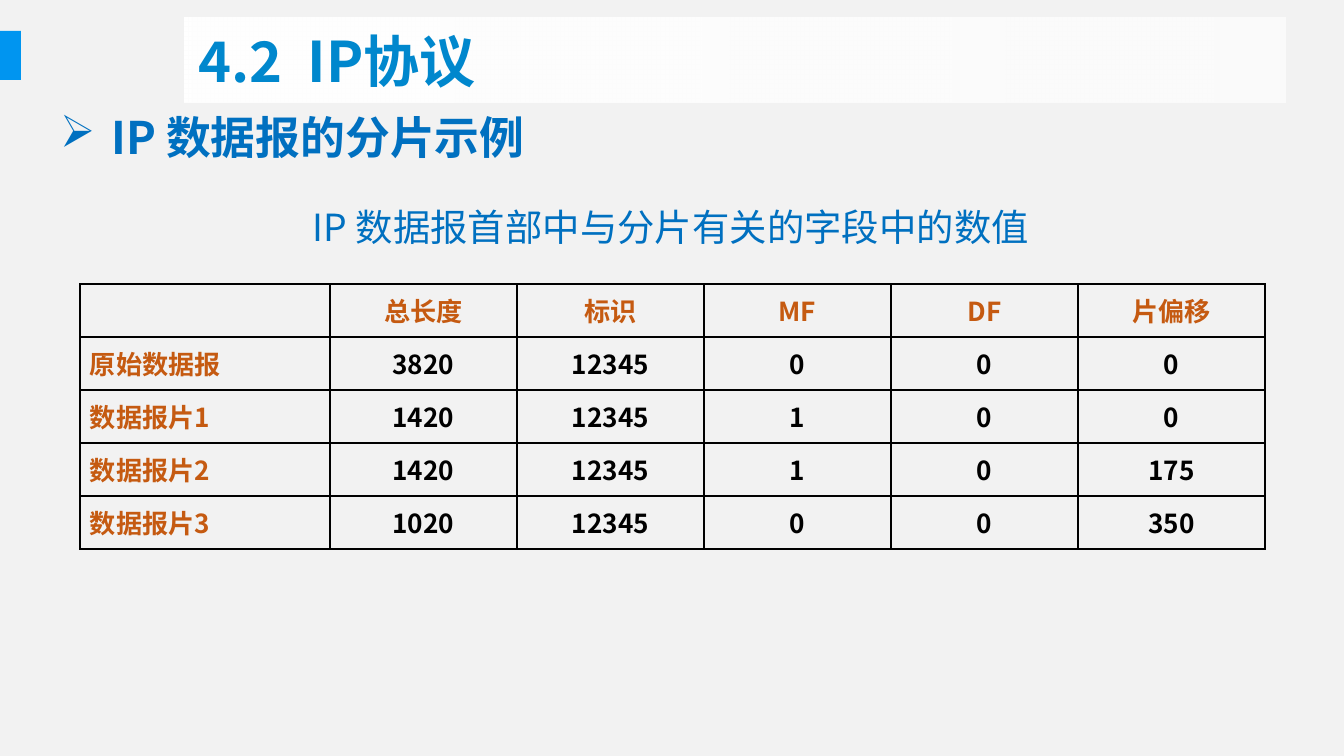
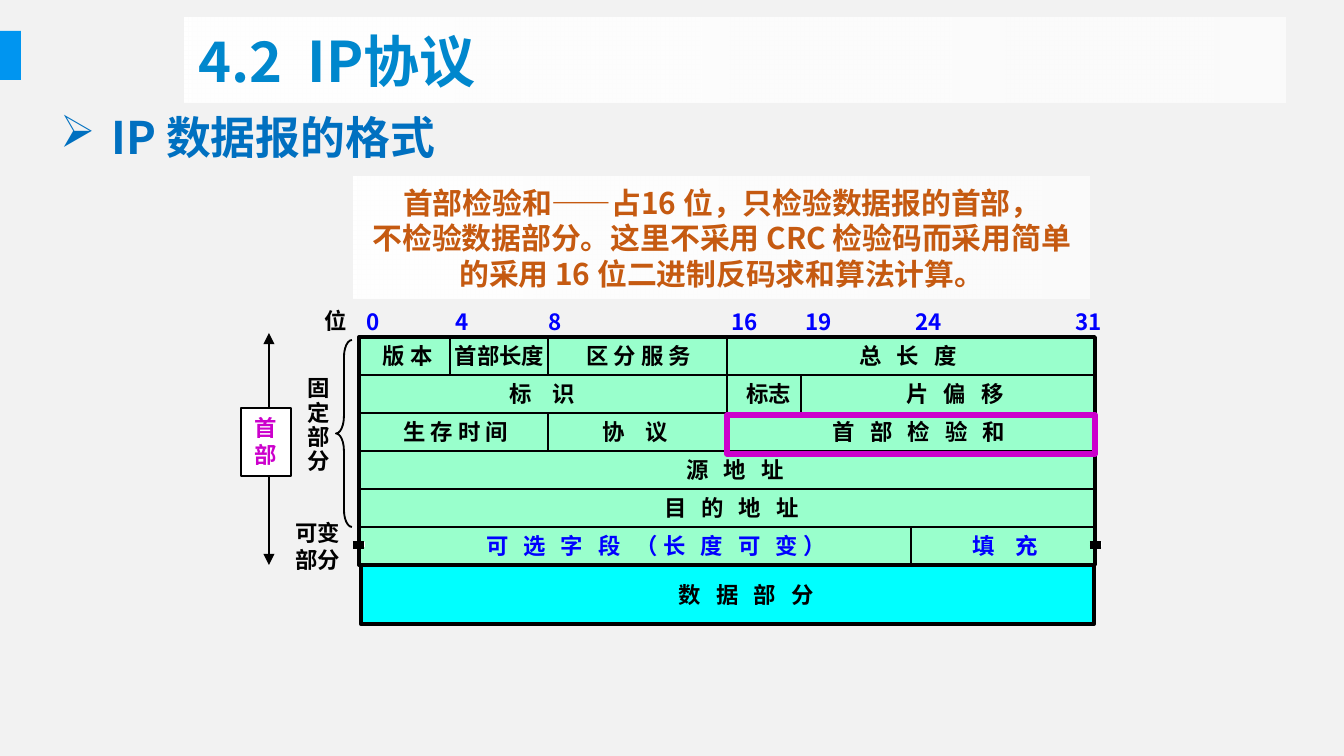
from lxml import etree
from pptx import Presentation
from pptx.dml.color import RGBColor
from pptx.enum.shapes import MSO_CONNECTOR, MSO_SHAPE
from pptx.enum.text import MSO_ANCHOR, PP_ALIGN
from pptx.oxml.ns import qn
from pptx.util import Pt

RECTANGLE, LEFT_BRACE = MSO_SHAPE.RECTANGLE, MSO_SHAPE.LEFT_BRACE
STRAIGHT = MSO_CONNECTOR.STRAIGHT
MIDDLE, TOP = MSO_ANCHOR.MIDDLE, MSO_ANCHOR.TOP
LEFT, CENTER, JUSTIFY = PP_ALIGN.LEFT, PP_ALIGN.CENTER, PP_ALIGN.JUSTIFY
WIDTH, HEIGHT = 1344, 756
FONT = "Noto Sans CJK SC"
COLORS = {
    "background": "F2F2F2",
    "accent": "0095F0",
    "title": "0087CD",
    "heading": "0070C0",
    "emphasis": "C55A11",
    "black": "000000",
    "white": "FFFFFF",
    "header": "99FFCC",
    "data": "00FFFF",
    "bits": "0000FF",
    "highlight": "CC00CC",
}
FRAGMENTS = [
    ["", "总长度", "标识", "MF", "DF", "片偏移"],
    ["原始数据报", "3820", "12345", "0", "0", "0"],
    ["数据报片1", "1420", "12345", "1", "0", "0"],
    ["数据报片2", "1420", "12345", "1", "0", "175"],
    ["数据报片3", "1020", "12345", "0", "0", "350"],
]
ROW, GRID_WIDTH, GRID_ROWS = 38, 736, 6
BITS = [("0", -6, 40), ("4", 83, 40), ("8", 176, 40), ("16", 359, 55),
        ("19", 433, 55), ("24", 543, 55), ("31", 703, 55)]
DIVIDERS = [(91, 0, 1), (189, 0, 1), (189, 2, 3), (368, 0, 3), (442, 1, 2), (552, 5, 6)]
FIELDS = [
    (0, 9, 79, "版 本", 0, "black"),
    (0, 82, 117, "首部长度", 0, "black"),
    (0, 211, 138, "区 分 服 务", 0, "black"),
    (0, 481, 136, "总 长 度", 2.7, "black"),
    (1, 134, 99, "标 识", 4.1, "black"),
    (1, 373, 73, "标志", 0, "black"),
    (1, 528, 136, "片 偏 移", 2.7, "black"),
    (2, 28, 138, "生 存 时 间", 0, "black"),
    (2, 227, 99, "协 议", 4.1, "black"),
    (2, 449, 222, "首 部 检 验 和", 2.7, "black"),
    (3, 308, 136, "源 地 址", 2.7, "black"),
    (4, 283, 179, "目 的 地 址", 2.7, "black"),
    (5, 102, 390, "可 选 字 段 （长 度 可 变）", 2.7, "bits"),
    (5, 597, 99, "填 充", 4.1, "bits"),
]


def px(length):
    """Turn pixels into EMU."""
    return round(length * 9144000 / WIDTH)


def color(name):
    """Look up a palette colour."""
    return RGBColor.from_string(COLORS[name])


def write(text_frame, text, size, ink, bold=True, align=LEFT, spacing=0):
    """Set the text, one paragraph per line, and format its runs."""
    text_frame.text = text
    for paragraph in text_frame.paragraphs:
        paragraph.alignment = align
        for run in paragraph.runs:
            run.font.name = FONT
            run.font.size = Pt(size)
            run.font.bold = bold
            run.font.color.rgb = color(ink)
            properties = run._r.get_or_add_rPr()
            etree.SubElement(properties, qn("a:ea"), typeface=FONT)
            if spacing:
                properties.set("spc", str(round(spacing * 100)))


def add_text(slide, box, text, size, ink, wrap=False, **style):
    """Add a text box and return its frame."""
    text_frame = slide.shapes.add_textbox(*map(px, box)).text_frame
    text_frame.word_wrap = wrap
    write(text_frame, text, size, ink, **style)
    return text_frame


def add_box(slide, box, fill=None, line=None, weight=1, kind=RECTANGLE):
    """Add a preset shape with optional fill and outline."""
    shape = slide.shapes.add_shape(kind, *map(px, box))
    shape.shadow.inherit = False
    if fill:
        shape.fill.solid()
        shape.fill.fore_color.rgb = color(fill)
    else:
        shape.fill.background()
    if line:
        shape.line.color.rgb = color(line)
        shape.line.width = Pt(weight)
    else:
        shape.line.fill.background()
    return shape


def add_fading_box(slide, box):
    """Add a white panel that fades towards the right."""
    shape = add_box(slide, box)
    shape.fill.gradient()
    shape.fill.gradient_angle = 0
    for stop in shape.fill.gradient_stops:
        stop.color.rgb = color("white")
    last_color = list(shape._element.spPr.iter(qn("a:srgbClr")))[-1]
    etree.SubElement(last_color, qn("a:alpha"), val="67000")
    shape.text_frame.vertical_anchor = MIDDLE
    shape.text_frame.word_wrap = True
    return shape


def add_line(slide, start, end, weight=1, arrows=False):
    """Add a straight black line, with arrowheads at both ends on request."""
    connector = slide.shapes.add_connector(STRAIGHT, *map(px, start + end))
    connector.line.color.rgb = color("black")
    connector.line.width = Pt(weight)
    if arrows:
        for tag in ("a:headEnd", "a:tailEnd"):
            etree.SubElement(connector.line._get_or_add_ln(), qn(tag), type="triangle")
    etree.SubElement(connector._element.spPr, qn("a:effectLst"))
    return connector


def add_slide(presentation, heading):
    """Add a slide with the side mark, title panel and bulleted heading."""
    slide = presentation.slides.add_slide(presentation.slide_layouts[6])
    add_box(slide, (0, 31, 21, 49), "accent")
    title = add_fading_box(slide, (185, 18, 1101, 85))
    write(title.text_frame, "4.2  IP协议", 30, "title")
    text_frame = add_text(slide, (47, 103, 1238, 67), heading, 24, "heading", wrap=True)
    properties = text_frame.paragraphs[0]._p.get_or_add_pPr()
    properties.set("marL", str(px(51)))
    properties.set("indent", str(px(-51)))
    etree.SubElement(properties, qn("a:buChar"), char="➢")
    return slide


def style_cell(cell, text, ink, align):
    """Fill one table cell and draw its borders."""
    cell.vertical_anchor = MIDDLE
    cell.margin_left = cell.margin_right = px(10)
    cell.margin_top = cell.margin_bottom = 0
    write(cell.text_frame, text, 14, ink, align=align)
    properties = cell._tc.get_or_add_tcPr()
    for side in ("a:lnL", "a:lnR", "a:lnT", "a:lnB"):
        border = etree.SubElement(properties, qn(side), w=str(Pt(1)))
        fill = etree.SubElement(border, qn("a:solidFill"))
        etree.SubElement(fill, qn("a:srgbClr"), val=COLORS["black"])
    cell.fill.background()


def add_fragment_table(slide, box):
    """Add the table of fragmentation fields."""
    left, top, width, height = box
    frame = slide.shapes.add_table(len(FRAGMENTS), len(FRAGMENTS[0]), *map(px, box))
    table = frame.table
    table.first_row = table.horz_banding = False
    first = 250
    for index, column in enumerate(table.columns):
        column.width = px(first if index == 0 else (width - first) / 5)
    for row_index, (row, values) in enumerate(zip(table.rows, FRAGMENTS)):
        row.height = px(height / len(FRAGMENTS))
        for column_index, value in enumerate(values):
            is_label = row_index == 0 or column_index == 0
            style_cell(row.cells[column_index], value,
                       "emphasis" if is_label else "black",
                       JUSTIFY if column_index == 0 else CENTER)


def add_header_grid(slide, left, top):
    """Draw the header rows, dividers, bit numbers and field names."""
    height = ROW * GRID_ROWS
    header = add_box(slide, (left, top, GRID_WIDTH, height), "header", "black", 2)
    for row in range(1, GRID_ROWS):
        y = top + row * ROW
        line = add_line(slide, (left, y), (left + GRID_WIDTH, y))
        if row * 2 == GRID_ROWS:
            line.begin_connect(header, 1)
            line.end_connect(header, 3)
    for x, first, last in DIVIDERS:
        line = add_line(slide, (left + x, top + first * ROW), (left + x, top + last * ROW))
        if x * 2 == GRID_WIDTH and first == 0:
            line.begin_connect(header, 0)
    for text, x, width in BITS:
        add_text(slide, (left + x, top - 35, width, 40), text, 12, "bits")
    for row, x, width, text, spacing, ink in FIELDS:
        add_text(slide, (left + x, top + row * ROW - 1, width, 40), text, 12, ink,
                 align=CENTER, spacing=spacing)


def add_data_part(slide, left, top):
    """Draw the data block below the header."""
    add_box(slide, (left, top, 733, 59), "data", "black", 2.25)
    add_text(slide, (left + 249, top + 10, 273, 40), "数 据 部 分", 12, "black",
             wrap=True, align=CENTER, spacing=2.7)


def add_break_mark(slide, left, top):
    """Draw the double stroke that marks a variable length."""
    add_box(slide, (left, top, 12, 5), "white")
    for y in (top + 1, top + 5):
        add_line(slide, (left, y), (left + 11, y), 2)


def add_header_legend(slide, left, top):
    """Draw the labels, brace and extent arrow beside the header."""
    add_text(slide, (left + 70, top - 36, 50, 40), "位", 12, "black")
    fixed = add_text(slide, (left + 53, top + 34, 50, 112), "固\n定\n部\n分", 12, "black")
    for paragraph in fixed.paragraphs:
        paragraph.line_spacing = 0.9
    add_text(slide, (left + 41, top + 176, 73, 67), "可变\n部分", 12, "black")
    brace = add_box(slide, (left + 95, top + 3, 16, 187), line="black", kind=LEFT_BRACE)
    brace.adjustments[0] = 1.08
    brace.adjustments[1] = 0.5
    add_line(slide, (left + 28, top - 4), (left + 28, top + 228), arrows=True)
    label = add_box(slide, (left, top + 71, 50, 68), "white", "black")
    label.text_frame.word_wrap = False
    label.text_frame.vertical_anchor = TOP
    write(label.text_frame, "首\n部", 12, "highlight")


def add_datagram(slide, left, top):
    """Draw the whole datagram around the grid's top left corner."""
    add_header_grid(slide, left, top)
    add_data_part(slide, left + 2, top + ROW * GRID_ROWS)
    for x in (-6, 731):
        add_break_mark(slide, left + x, top + 205)
    add_header_legend(slide, left - 118, top)
    add_box(slide, (left + 368, top + 2 * ROW + 2, 368, 39), line="highlight", weight=3)


def build_fragment_slide(presentation):
    """Build the fragmentation example slide."""
    slide = add_slide(presentation, "IP 数据报的分片示例")
    add_text(slide, (294, 198, 754, 59), "IP 数据报首部中与分片有关的字段中的数值",
             20, "heading", bold=False, align=CENTER)
    add_fragment_table(slide, (80, 284, 1185, 265))


def build_format_slide(presentation):
    """Build the datagram format slide."""
    slide = add_slide(presentation, "IP 数据报的格式")
    add_datagram(slide, 359, 337)
    note = add_fading_box(slide, (354, 177, 736, 122))
    write(note.text_frame,
          "首部检验和——占16 位，只检验数据报的首部，\n"
          "不检验数据部分。这里不采用 CRC 检验码而采用简单的采用 16 位二进制反码求和算法计算。",
          16, "emphasis", align=CENTER)


def main():
    """Build and save the presentation."""
    presentation = Presentation()
    presentation.slide_width, presentation.slide_height = px(WIDTH), px(HEIGHT)
    background = presentation.slide_master.background.fill
    background.solid()
    background.fore_color.rgb = color("background")
    build_fragment_slide(presentation)
    build_format_slide(presentation)
    presentation.save("out.pptx")


if __name__ == "__main__":
    main()
